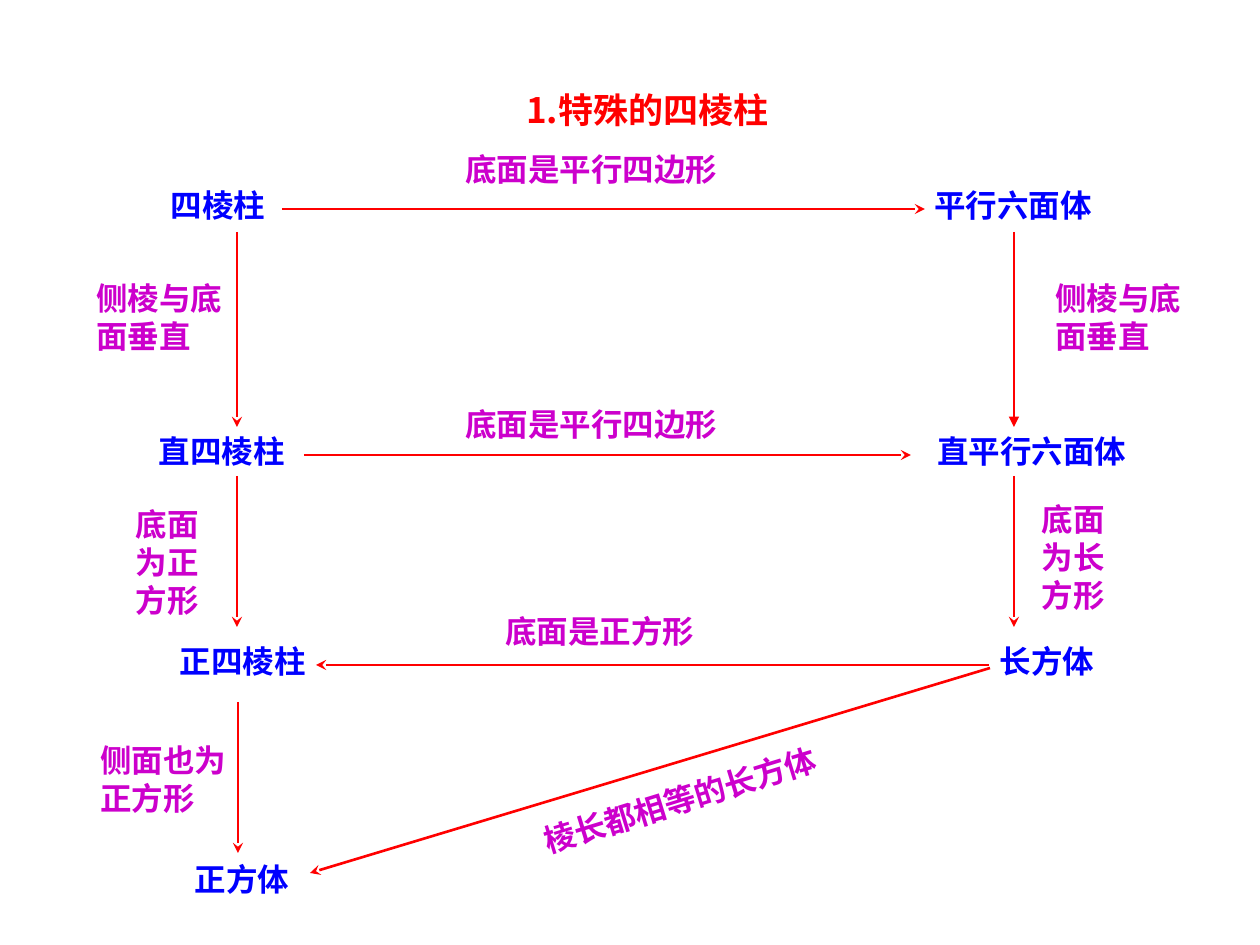
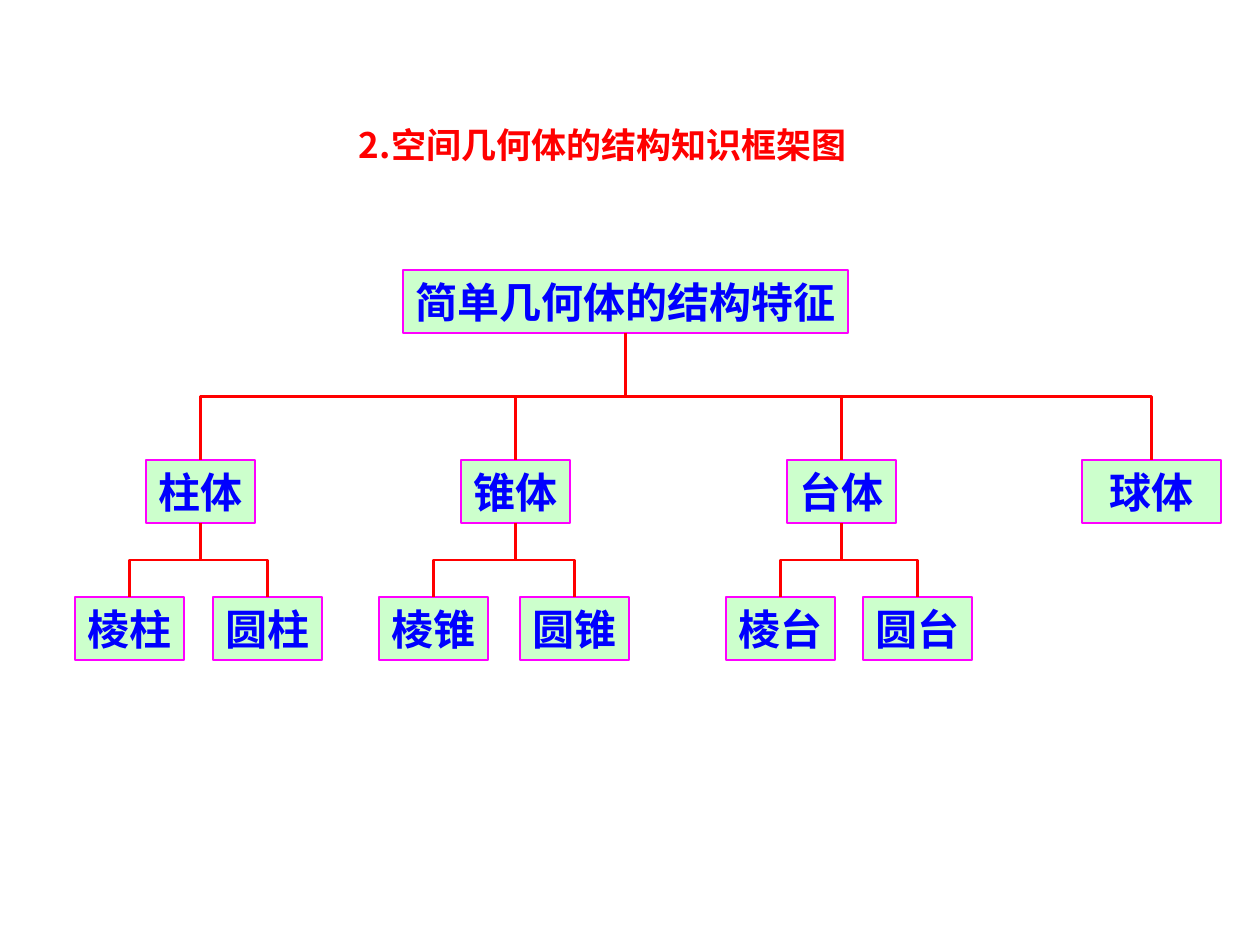
from lxml import etree
from pptx import Presentation
from pptx import util as u
from pptx.dml.color import RGBColor
from pptx.enum import shapes, text
from pptx.oxml.ns import qn

PX = 914400 / 126
RED, BLUE, PURPLE, PINK, MINT = "FF0000", "0000FF", "CC00CC", "FF00FF", "CCFFCC"
CJK_FONT, LABEL_FONT, BOX_FONT = "Noto Sans CJK SC", "Arial", "Lato"
CENTER, LEFT = text.PP_ALIGN.CENTER, text.PP_ALIGN.LEFT
TITLE_ONLY = 5

NODE_HEIGHT = 50
NODES = [
    ("四棱柱 ", 65, 40, 154),
    ("平行六面体", 826, 40, 214),
    ("直四棱柱", 65, 286, 154),
    ("直平行六面体", 831, 286, 242),
    ("正四棱柱", 86, 496, 154),
    ("长方体", 846, 496, 242),
    ("正方体", 85, 714, 154),
]

# Label sizes and alignment: above an arrow, beside it in two lines, or in three
ABOVE, TWO_LINES, THREE_LINES = (404, 50, CENTER), (158, 88, LEFT), (113, 126, CENTER)
# Label, its kind, its left and top, arrow from and to, tilt, arrowhead
RELATIONS = [
    ("底面是平行四边形 ", ABOVE, (313, 4), (202, 69), (845, 69), 0, "stealth"),
    ("侧棱与底面垂直", TWO_LINES, (963, 133), (934, 92), (934, 287), 0, "triangle"),
    ("底面为长方形", THREE_LINES, (937, 354), (934, 336), (934, 487), 0, "stealth"),
    ("底面是平行四边形 ", ABOVE, (313, 259), (224, 315), (831, 315), 0, "stealth"),
    ("底面是正方形", ABOVE, (318, 466), (909, 525), (236, 525), 0, "stealth"),
    ("棱长都相等的长方体", ABOVE, (398, 635), (910, 528), (230, 733), -17.1, "stealth"),
    ("侧棱与底面垂直", TWO_LINES, (4, 133), (157, 92), (157, 287), 0, "stealth"),
    ("底面为正方形", THREE_LINES, (31, 359), (157, 336), (157, 487), 0, "stealth"),
    ("侧面也为正方形", TWO_LINES, (8, 595), (158, 562), (158, 713), 0, "stealth"),
]

LEVEL_TOPS, BOX_HEIGHT, SMALL_BOX = (0, 190, 327), 63, 109
# Name, left, width, children
SOLIDS = ("简单几何体的结构特征", 328, 445, [
    ("柱体", 71, SMALL_BOX, [("棱柱", 0, SMALL_BOX, []), ("圆柱", 138, SMALL_BOX, [])]),
    ("锥体", 386, SMALL_BOX, [("棱锥", 304, SMALL_BOX, []), ("圆锥", 445, SMALL_BOX, [])]),
    ("台体", 712, SMALL_BOX, [("棱台", 651, SMALL_BOX, []), ("圆台", 788, SMALL_BOX, [])]),
    ("球体", 1007, 139, []),
])


def px(*lengths):
    return [round(length * PX) for length in lengths]


def color(code):
    return RGBColor.from_string(code)


def write(shape, words, size, ink, font, east_font=BOX_FONT, align=CENTER, wrap=True):
    frame = shape.text_frame
    frame.word_wrap = wrap
    frame.auto_size = text.MSO_AUTO_SIZE.NONE
    frame.vertical_anchor = text.MSO_ANCHOR.MIDDLE
    frame.margin_left = frame.margin_right = u.Inches(0.1)
    frame.margin_top = frame.margin_bottom = u.Inches(0.05)
    para = frame.paragraphs[0]
    para.alignment = align
    span = para.add_run()
    span.text = words
    span.font.name = font
    span.font.size = u.Pt(size)
    span.font.bold = True
    span.font.color.rgb = color(ink)
    latin = span.font._element.find(qn("a:latin"))
    east = etree.Element(qn("a:ea"), typeface=east_font)
    latin.addnext(east)


def style_line(connector):
    connector.line.color.rgb = color(RED)
    connector.line.width = u.Pt(1.5)
    etree.SubElement(connector._element.spPr, qn("a:effectLst"))


def add_page(deck, title, box):
    page = deck.slides.add_slide(deck.slide_layouts[TITLE_ONLY])
    heading = page.shapes.title
    heading.left, heading.top, heading.width, heading.height = px(*box)
    write(heading, title, 20, RED, CJK_FONT, CJK_FONT)
    return page


def add_label(page, words, box, ink, font, align=CENTER, tilt=0):
    label = page.shapes.add_textbox(*px(*box))
    label.rotation = tilt
    write(label, words, 18, ink, font, align=align)


def add_arrow(page, start, end, head):
    arrow = page.shapes.add_connector(shapes.MSO_CONNECTOR.STRAIGHT, *px(*start, *end))
    style_line(arrow)
    etree.SubElement(arrow._element.spPr.find(qn("a:ln")), qn("a:tailEnd"), type=head)


def draw_prism_relations(page, left, top):
    def shift(point):
        return left + point[0], top + point[1]

    for name, x, y, width in NODES:
        add_label(page, name, (*shift((x, y)), width, NODE_HEIGHT), BLUE, CJK_FONT)
    for words, (width, height, align), corner, start, end, tilt, head in RELATIONS:
        add_label(page, words, (*shift(corner), width, height), PURPLE, LABEL_FONT, align, tilt)
        add_arrow(page, shift(start), shift(end), head)


def join_down(page, parent, child):
    """Elbow from the parent's bottom to the child's top, turning halfway down."""
    link = page.shapes.add_connector(shapes.MSO_CONNECTOR.ELBOW, 0, 0, 0, 0)
    link.begin_connect(parent, 2)
    link.end_connect(child, 0)
    x1, y1, x2, y2 = link.begin_x, link.begin_y, link.end_x, link.end_y
    run, drop = abs(x2 - x1), y2 - y1
    # The preset runs sideways, so its box is swapped and turned about its centre
    link.left, link.top = (x1 + x2 - drop) // 2, (y1 + y2 - run) // 2
    link.width, link.height = drop, run
    xfrm = link._element.spPr.find(qn("a:xfrm"))
    xfrm.set("rot", str((270 if x2 > x1 else 90) * 60000))
    xfrm.set("flipH", "1" if x2 > x1 else "0")
    style_line(link)


def draw_tree(page, solid, left, top, level=0):
    name, x, width, children = solid
    place = px(left + x, top + LEVEL_TOPS[level], width, BOX_HEIGHT)
    box = page.shapes.add_shape(shapes.MSO_SHAPE.RECTANGLE, *place)
    box.shadow.inherit = False
    box.fill.solid()
    box.fill.fore_color.rgb = color(MINT)
    box.line.color.rgb = color(PINK)
    box.line.width = u.Pt(0.75)
    write(box, name, 24, BLUE, BOX_FONT, wrap=False)
    for child in children:
        join_down(page, box, draw_tree(page, child, left, top, level + 1))
    return box


def main():
    deck = Presentation()
    deck.slide_width, deck.slide_height = px(1260, 945)
    page = add_page(deck, "1.特殊的四棱柱", (291, 82, 713, 55))
    draw_prism_relations(page, 80, 140)
    page = add_page(deck, "2.空间几何体的结构知识框架图", (96, 117, 1014, 55))
    draw_tree(page, SOLIDS, 75, 270)
    deck.save("out.pptx")


if __name__ == "__main__":
    main()
